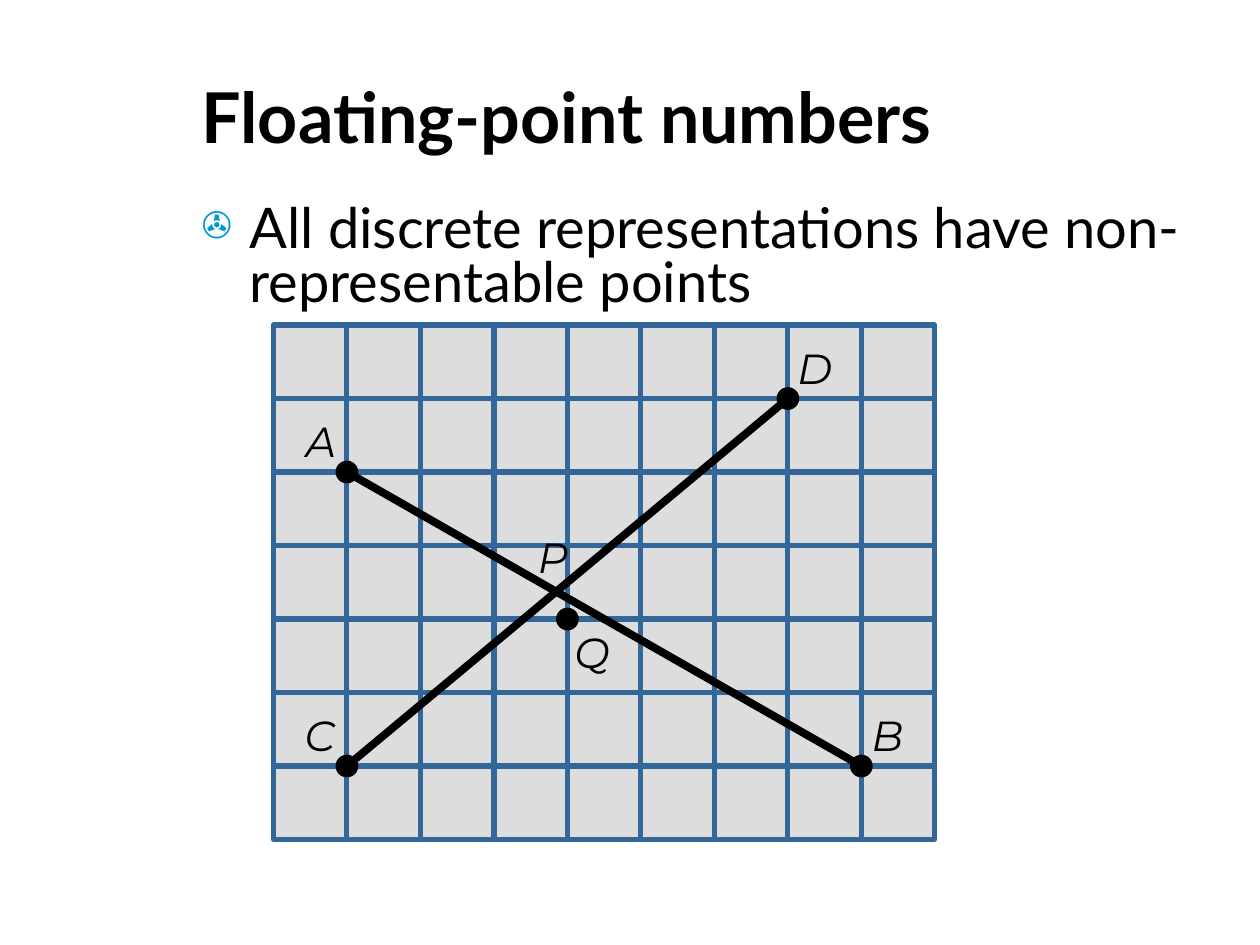
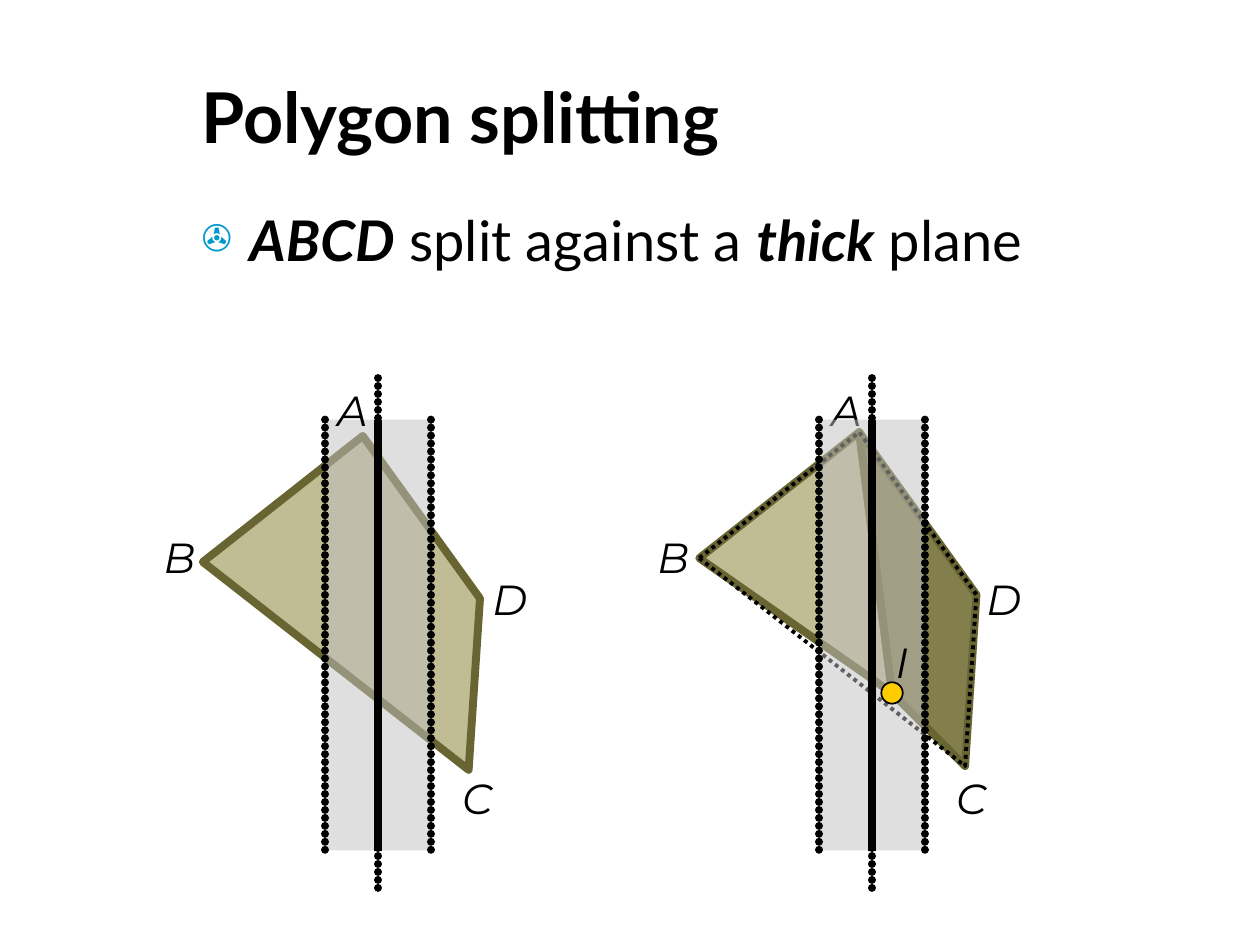
from lxml.etree import SubElement
from pptx import Presentation
from pptx.dml.color import RGBColor
from pptx.enum.dml import MSO_LINE
from pptx.enum.shapes import MSO_CONNECTOR, MSO_SHAPE
from pptx.enum.text import MSO_ANCHOR, MSO_AUTO_SIZE, PP_ALIGN
from pptx.oxml.ns import qn
from pptx.util import Inches, Pt

# Shared style
BLACK = RGBColor(0x00, 0x00, 0x00)
BULLET_BLUE = RGBColor(0x00, 0x99, 0xCC)
GRID_BLUE = RGBColor(0x33, 0x66, 0x99)
CELL_GREY = RGBColor(0xDD, 0xDD, 0xDD)
BAND_GREY = RGBColor(0xC0, 0xC0, 0xC0)
OLIVE_LINE = RGBColor(0x68, 0x65, 0x32)
OLIVE_LIGHT = RGBColor(0xC0, 0xBC, 0x94)
OLIVE_DARK = RGBColor(0x82, 0x7F, 0x4C)
YELLOW = RGBColor(0xFF, 0xCC, 0x00)
TITLE_FONT = {"name": "Lato", "size": Pt(40), "bold": True}
BODY_FONT = {"name": "Lato", "size": Pt(32)}
LABEL_FONT = {"name": "Montserrat", "size": Pt(24), "italic": True}
EMPHASIS = {"bold": True, "italic": True}
THICK = 4.5
DOT = 0.17

# Slide 1 content: nodes are (column, row) on the grid
NUMBERS_TITLE = "Floating-point numbers"
NUMBERS_BODY = [("All discrete representations have non-representable points", {})]
COLUMNS, ROWS = 9, 7
CELL = 7 / 12
GRID_LEFT, GRID_TOP = 2.17, 2.58
NODES = {"A": (1, 2), "B": (8, 6), "C": (1, 6), "D": (7, 1), "Q": (4, 4)}
SEGMENTS = ["AB", "CD"]
NODE_LABELS = {"A": (2.33, 3.25), "B": (6.82, 5.58), "C": (2.32, 5.58),
               "D": (6.23, 2.67), "Q": (4.46, 4.92), "P": (4.17, 4.17)}

# Slide 2 content: labels are placed from the plane, corners on the slide
SPLIT_TITLE = "Polygon splitting"
SPLIT_BODY = [("ABCD", EMPHASIS), (" split against a ", {}),
              ("thick", EMPHASIS), (" plane", {})]
LEFT_PLANE, RIGHT_PLANE = 3, 6.92
HALF_THICKNESS = 0.42
BAND_TOP, BAND_BOTTOM = 3.33, 6.75
PLANE_TOP, PLANE_BOTTOM = 3, 7.08
CORNERS = {"A": (2.88, 3.46), "B": (1.61, 4.46), "C": (3.72, 6.11), "D": (3.81, 4.75)}
SPLIT_SHIFT = (3.94, -0.03)
SPLIT_POINT = (7.08, 5.5)
CORNER_LABELS = {"A": (-0.42, 3), "B": (-1.8, 4.17), "C": (0.57, 6.08), "D": (0.81, 4.5)}
SPLIT_LABEL = (7.01, 5)


def style_font(font, formats):
    font.color.rgb = BLACK
    for attribute, setting in formats.items():
        setattr(font, attribute, setting)


def place(shape, left, top, width, height):
    for side, length in zip(("left", "top", "width", "height"), (left, top, width, height)):
        setattr(shape, side, Inches(length))


def add_bullet(paragraph):
    properties = paragraph._p.get_or_add_pPr()
    properties.set("marL", str(Inches(0.38)))
    properties.set("indent", str(-Inches(0.38)))
    colour = SubElement(properties, qn("a:buClr"))
    SubElement(colour, qn("a:srgbClr"), val=str(BULLET_BLUE))
    SubElement(properties, qn("a:buSzPct"), val="65000")
    SubElement(properties, qn("a:buChar"), char="\u2707")


def add_slide(deck, heading, statement, body_height, line_spacing=None):
    slide = deck.slides.add_slide(deck.slide_layouts[1])
    title, body = slide.placeholders
    place(title, 1.5, 0.42, 8.25, 1)
    place(body, 1.5, 1.58, 8.25, body_height)
    for holder, runs, font, anchor in (
            (title, [(heading, {})], TITLE_FONT, MSO_ANCHOR.MIDDLE),
            (body, statement, BODY_FONT, MSO_ANCHOR.TOP)):
        frame = holder.text_frame
        frame.auto_size = MSO_AUTO_SIZE.NONE
        frame.vertical_anchor = anchor
        paragraph = frame.paragraphs[0]
        paragraph.alignment = PP_ALIGN.LEFT
        for text, formats in runs:
            run = paragraph.add_run()
            run.text = text
            style_font(run.font, {**font, **formats})
    point = body.text_frame.paragraphs[0]
    point.space_before = Pt(8)
    if line_spacing:
        point.line_spacing = line_spacing
    add_bullet(point)
    return slide


def paint(shape, fill=None, line=None, weight=0, dash=None):
    shape.shadow.inherit = False
    if fill is None:
        shape.fill.background()
    else:
        shape.fill.solid()
        shape.fill.fore_color.rgb = fill
    if line is None:
        shape.line.fill.background()
    else:
        shape.line.color.rgb = line
        shape.line.width = Pt(weight)
        if dash:
            shape.line.dash_style = dash
    return shape


def add_box(shapes, kind, left, top, width, height, **look):
    box = shapes.add_shape(kind, *map(Inches, (left, top, width, height)))
    return paint(box, **look)


def add_dot(shapes, centre, **look):
    x, y = centre
    add_box(shapes, MSO_SHAPE.OVAL, x - DOT / 2, y - DOT / 2, DOT, DOT, line=BLACK, **look)


def add_line(shapes, start, end, beaded=False):
    line = shapes.add_connector(MSO_CONNECTOR.STRAIGHT, *map(Inches, (*start, *end)))
    line.line.color.rgb = BLACK
    line.line.width = Pt(THICK)
    if beaded:
        outline = line.line._get_or_add_ln()
        outline.set("cap", "rnd")
        dashes = SubElement(outline, qn("a:custDash"))
        SubElement(dashes, qn("a:ds"), d="1000", sp="100000")
    SubElement(line._element.spPr, qn("a:effectLst"))


def add_polygon(shapes, points, **look):
    corners = [(Inches(x), Inches(y)) for x, y in points]
    outline = shapes.build_freeform(*corners[0])
    outline.add_line_segments(corners[1:], close=True)
    paint(outline.convert_to_shape(), **look)


def add_label(shapes, letter, left, top):
    label = shapes.add_textbox(*map(Inches, (left, top, 0.31 if letter == "I" else 0.4, 0.5)))
    frame = label.text_frame
    frame.word_wrap = False
    frame.auto_size = MSO_AUTO_SIZE.SHAPE_TO_FIT_TEXT
    run = frame.paragraphs[0].add_run()
    run.text = letter
    style_font(run.font, LABEL_FONT)


def add_corner_labels(shapes, plane):
    for letter, (offset, top) in CORNER_LABELS.items():
        add_label(shapes, letter, plane + offset, top)


def add_band(shapes, plane):
    band = add_box(shapes, MSO_SHAPE.RECTANGLE, plane - HALF_THICKNESS, BAND_TOP,
                   2 * HALF_THICKNESS, BAND_BOTTOM - BAND_TOP, fill=BAND_GREY)
    colour = band._element.spPr.find(qn("a:solidFill")).find(qn("a:srgbClr"))
    SubElement(colour, qn("a:alpha"), val="50000")


def add_plane(shapes, plane):
    add_line(shapes, (plane, BAND_TOP), (plane, BAND_BOTTOM))
    add_line(shapes, (plane, PLANE_TOP), (plane, PLANE_BOTTOM), beaded=True)
    for x in (plane - HALF_THICKNESS, plane + HALF_THICKNESS):
        add_line(shapes, (x, BAND_TOP), (x, BAND_BOTTOM), beaded=True)


def node_position(letter):
    column, row = NODES[letter]
    return GRID_LEFT + column * CELL, GRID_TOP + row * CELL


deck = Presentation()
deck.slide_width, deck.slide_height = Inches(10), Inches(7.5)

# Slide 1: segments crossing between grid points
numbers = add_slide(deck, NUMBERS_TITLE, NUMBERS_BODY, 1.17, line_spacing=0.8)
grid = numbers.shapes.add_group_shape().shapes
for row in range(ROWS):
    for column in range(COLUMNS):
        add_box(grid, MSO_SHAPE.RECTANGLE, GRID_LEFT + column * CELL, GRID_TOP + row * CELL,
                CELL, CELL, fill=CELL_GREY, line=GRID_BLUE, weight=3)
crossing = numbers.shapes.add_group_shape().shapes
for start, end in SEGMENTS:
    add_line(crossing, node_position(start), node_position(end))
for letter in NODES:
    add_dot(crossing, node_position(letter), fill=BLACK, weight=0.75)
for letter, position in NODE_LABELS.items():
    add_label(numbers.shapes, letter, *position)

# Slide 2, left: the whole polygon
splitting = add_slide(deck, SPLIT_TITLE, SPLIT_BODY, 0.85).shapes
olive_edge = {"line": OLIVE_LINE, "weight": THICK}
add_polygon(splitting, [CORNERS[c] for c in "BCDA"], fill=OLIVE_LIGHT, **olive_edge)
add_band(splitting, LEFT_PLANE)
add_corner_labels(splitting, LEFT_PLANE)
add_plane(splitting, LEFT_PLANE)

# Slide 2, right: the two pieces under the first outline
dx, dy = SPLIT_SHIFT
moved = {letter: (x + dx, y + dy) for letter, (x, y) in CORNERS.items()}
moved["I"] = SPLIT_POINT
for piece, shade in (("BIA", OLIVE_LIGHT), ("ICDA", OLIVE_DARK)):
    add_polygon(splitting, [moved[c] for c in piece], fill=shade, **olive_edge)
add_polygon(splitting, [moved[c] for c in "BCDA"], line=BLACK, weight=2.25,
            dash=MSO_LINE.ROUND_DOT)
add_corner_labels(splitting, RIGHT_PLANE)
add_band(splitting, RIGHT_PLANE)
add_plane(splitting, RIGHT_PLANE)
add_dot(splitting, SPLIT_POINT, fill=YELLOW, weight=1)
add_label(splitting, "I", *SPLIT_LABEL)

deck.save("out.pptx")
